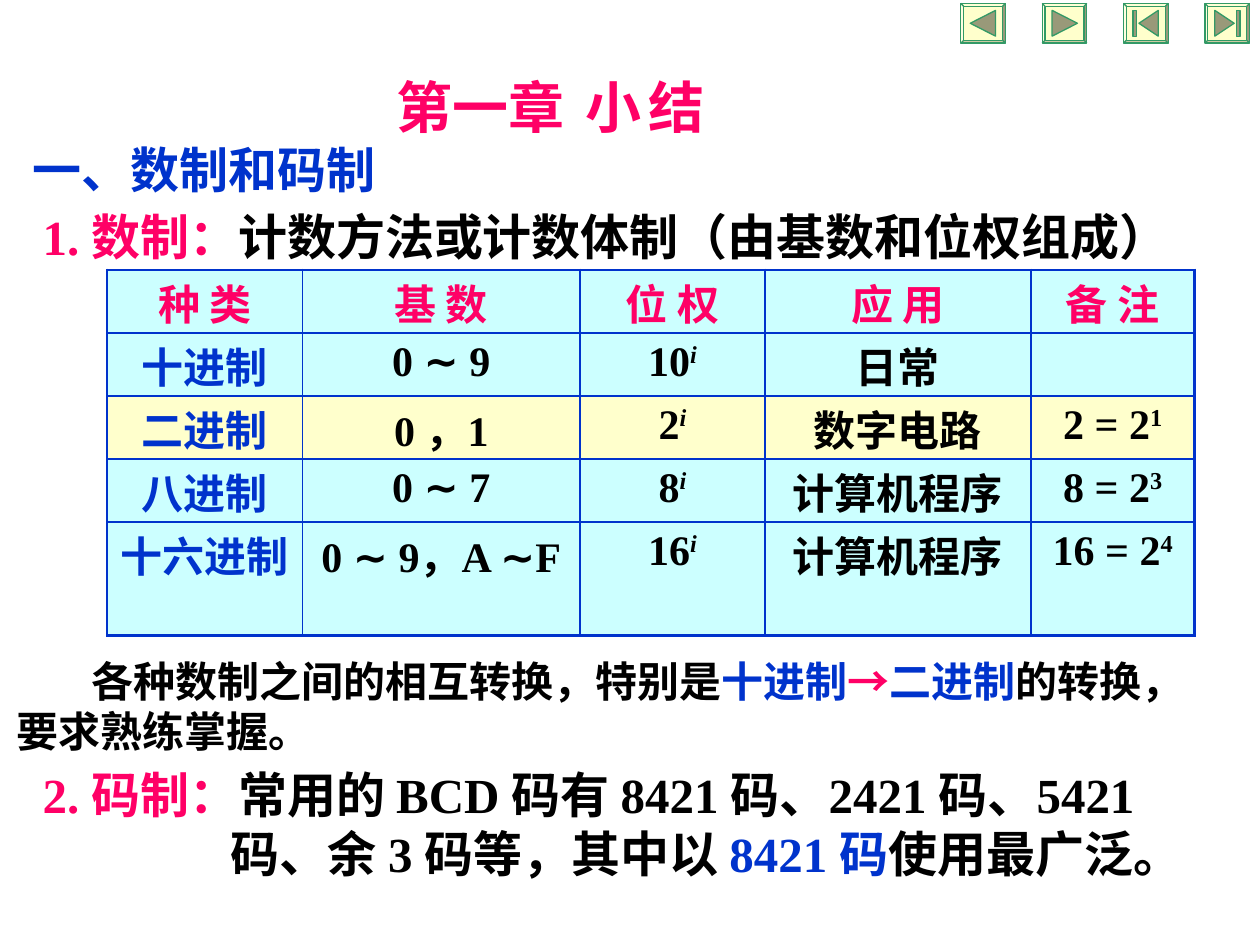
from lxml import etree
from pptx import Presentation
from pptx.dml.color import RGBColor
from pptx.enum.shapes import MSO_SHAPE as Shape
from pptx.enum.text import PP_ALIGN as Align
from pptx.oxml.ns import qn
from pptx.util import Cm, Pt

LATIN, CHINESE, SYMBOL = "Times New Roman", "Noto Sans CJK SC", "Arial"
PINK, BLUE, BLACK = "FF0066", "0033CC", "000000"
AQUA, CREAM, GREEN, OLIVE = "CCFFFF", "FFFFCC", "339966", "999979"

COLUMN_WIDTHS = (3.94, 5.59, 3.73, 5.36, 3.3)
ROW_HEIGHTS = (1.27, 1.27, 1.27, 1.27, 2.29)
HEADINGS = ("种 类", "基 数", "位 权", "应 用", "备 注")
SYSTEMS = (
    ("十进制", "0 ∼ 9", "10", "日常", "", ""),
    ("二进制", "0 ，1", "2", "数字电路", "2 = 2", "1"),
    ("八进制", "0 ∼ 7", "8", "计算机程序", "8 = 2", "3"),
    ("十六进制", "0 ∼ 9，A ∼F", "16", "计算机程序", "16 = 2", "4"),
)


def color(value):
    """Turn a hex string into a colour."""
    return RGBColor.from_string(value)


def add_span(para, text, size, tint, font=LATIN):
    """Add one bold run to a paragraph and return it."""
    span = para.add_run()
    span.text = text
    span.font.name = font
    span.font.size = Pt(size)
    span.font.bold = True
    span.font.color.rgb = color(tint)
    etree.SubElement(span.font._element, qn("a:ea"), typeface=CHINESE)
    return span


def add_text(page, left, top, width, height, size, lines, font=LATIN):
    """Add a text box of paragraphs, each a (margin, indent, spans) triple."""
    box = page.shapes.add_textbox(Cm(left), Cm(top), Cm(width), Cm(height))
    frame = box.text_frame
    frame.word_wrap = True
    frame.margin_top, frame.margin_bottom = Cm(0.23), Cm(0.05)
    for index, (margin, indent, spans) in enumerate(lines):
        para = frame.add_paragraph() if index else frame.paragraphs[0]
        para.line_spacing = Pt(round(size * 1.2, 1))
        properties = para._p.get_or_add_pPr()
        properties.set("marL", str(Cm(margin)))
        properties.set("indent", str(Cm(indent)))
        for text, tint in spans:
            add_span(para, text, size, tint, font)
    return box


def add_tabs(para, positions):
    """Add left tab stops to a paragraph."""
    tabs = etree.SubElement(para._p.get_or_add_pPr(), qn("a:tabLst"))
    for position in positions:
        etree.SubElement(tabs, qn("a:tab"), pos=str(Cm(position)), algn="l")


def set_borders(cell, outer_sides):
    """Draw the four cell borders, heavier on the outer sides."""
    properties = cell._tc.get_or_add_tcPr()
    for side in "LRTB":
        weight = Pt(1.47 if side in outer_sides else 1.08)
        line = etree.SubElement(properties, qn(f"a:ln{side}"), w=str(weight))
        fill = etree.SubElement(line, qn("a:solidFill"))
        etree.SubElement(fill, qn("a:srgbClr"), val=BLUE)


def fill_cell(cell, text, power, tint, background, outer_sides):
    """Write, fill and frame one table cell."""
    set_borders(cell, outer_sides)
    cell.fill.solid()
    cell.fill.fore_color.rgb = color(background)
    has_chinese = any(letter > "\u2fff" for letter in text)
    cell.margin_top = Cm(0.28 if has_chinese else 0.07)
    cell.margin_bottom = Cm(0)
    para = cell.text_frame.paragraphs[0]
    para.alignment = Align.CENTER
    para.line_spacing = Pt(28)
    for index, part in enumerate(text.split("∼")):
        if index:
            add_span(para, "∼", 24, tint, SYMBOL)
        if part:
            add_span(para, part, 24, tint)
    if power:
        span = add_span(para, power, 24, tint)
        span.font.italic = power == "i"
        span.font._element.set("baseline", "30000")


def add_systems_table(page):
    """Add the table of number systems."""
    last_row, last_column = len(SYSTEMS), len(HEADINGS) - 1
    table = page.shapes.add_table(
        last_row + 1, last_column + 1, Cm(2.16), Cm(5.44),
        Cm(sum(COLUMN_WIDTHS)), Cm(sum(ROW_HEIGHTS))).table
    table.first_row = table.horz_banding = False
    for column, width in zip(table.columns, COLUMN_WIDTHS):
        column.width = Cm(width)
    for row, height in zip(table.rows, ROW_HEIGHTS):
        row.height = Cm(height)
    rows = [[(heading, "") for heading in HEADINGS]]
    for name, digits, base, usage, note, exponent in SYSTEMS:
        rows.append([(name, ""), (digits, ""), (base, "i"), (usage, ""), (note, exponent)])
    for y, row in enumerate(rows):
        for x, (text, power) in enumerate(row):
            tint = PINK if y == 0 else BLUE if x == 0 else BLACK
            edges = {"L": x == 0, "R": x == last_column, "T": y == 0, "B": y == last_row}
            outer_sides = [side for side, is_outer in edges.items() if is_outer]
            fill_cell(table.cell(y, x), text, power, tint, CREAM if y == 2 else AQUA, outer_sides)


def paint(shape, fill):
    """Give a button part its fill and green outline."""
    shape.shadow.inherit = False
    shape.fill.solid()
    shape.fill.fore_color.rgb = color(fill)
    shape.line.color.rgb = color(GREEN)
    shape.line.width = Pt(0.75)


def add_button(page, left, outlines):
    """Add a bevelled navigation button with its symbol."""
    top = 0.07
    button = page.shapes.add_shape(Shape.BEVEL, Cm(left), Cm(top), Cm(0.9), Cm(0.8))
    button.adjustments[0] = 0.07
    paint(button, CREAM)
    for outline in outlines:
        points = [(Cm(left + x), Cm(top + y)) for x, y in outline]
        builder = page.shapes.build_freeform(*points[0])
        builder.add_line_segments(points[1:], close=True)
        paint(builder.convert_to_shape(), OLIVE)


def add_navigation(page):
    """Add the row of four evenly spaced buttons."""
    def mirror(outline):
        return [(0.9 - x, y) for x, y in outline]

    back = [(0.19, 0.4), (0.7, 0.14), (0.7, 0.66)]
    start = [(0.31, 0.4), (0.7, 0.14), (0.7, 0.66)]
    bar = [(0.19, 0.14), (0.26, 0.14), (0.26, 0.66), (0.19, 0.66)]
    symbols = ([back], [mirror(back)], [start, bar], [mirror(start), mirror(bar)])
    for index, outlines in enumerate(symbols):
        add_button(page, 19.37 + 1.64 * index, outlines)


def main():
    """Build the chapter summary slide."""
    deck = Presentation()
    deck.slide_width, deck.slide_height = Cm(25.4), Cm(19.05)
    page = deck.slides.add_slide(deck.slide_layouts[6])
    title = add_text(page, 7.75, 1.24, 12.5, 1.63, 32,
                     [(0, 0, [("第一章\t小\t结", PINK)])], CHINESE)
    add_tabs(title.text_frame.paragraphs[0], (4.13, 5.78))
    add_text(page, 0.41, 2.59, 15.82, 1.45, 28, [(0, 0, [("一、数制和码制", BLUE)])])
    add_text(page, 0.61, 3.94, 26.62, 1.45, 28, [
        (0, 0, [("1. 数制：", PINK), ("计数方法或计数体制（由基数和位权组成）", BLACK)])])
    add_systems_table(page)
    add_text(page, 0.08, 12.98, 24.38, 2.29, 24, [
        (0, 1.52, [("各种数制之间的相互转换，特别是", BLACK), ("十进制", BLUE), ("→", PINK),
                   ("二进制", BLUE), ("的转换，要求熟练掌握。", BLACK)])])
    add_text(page, 0.61, 15.19, 24.56, 2.64, 28, [
        (1.27, -1.27, [("2. 码制：", PINK), ("常用的 BCD 码有 8421 码、2421 码、5421", BLACK)]),
        (3.78, 0, [("码、余 3 码等，其中以 ", BLACK), ("8421 码", BLUE), ("使用最广泛。", BLACK)])])
    add_navigation(page)
    deck.save("out.pptx")


if __name__ == "__main__":
    main()
